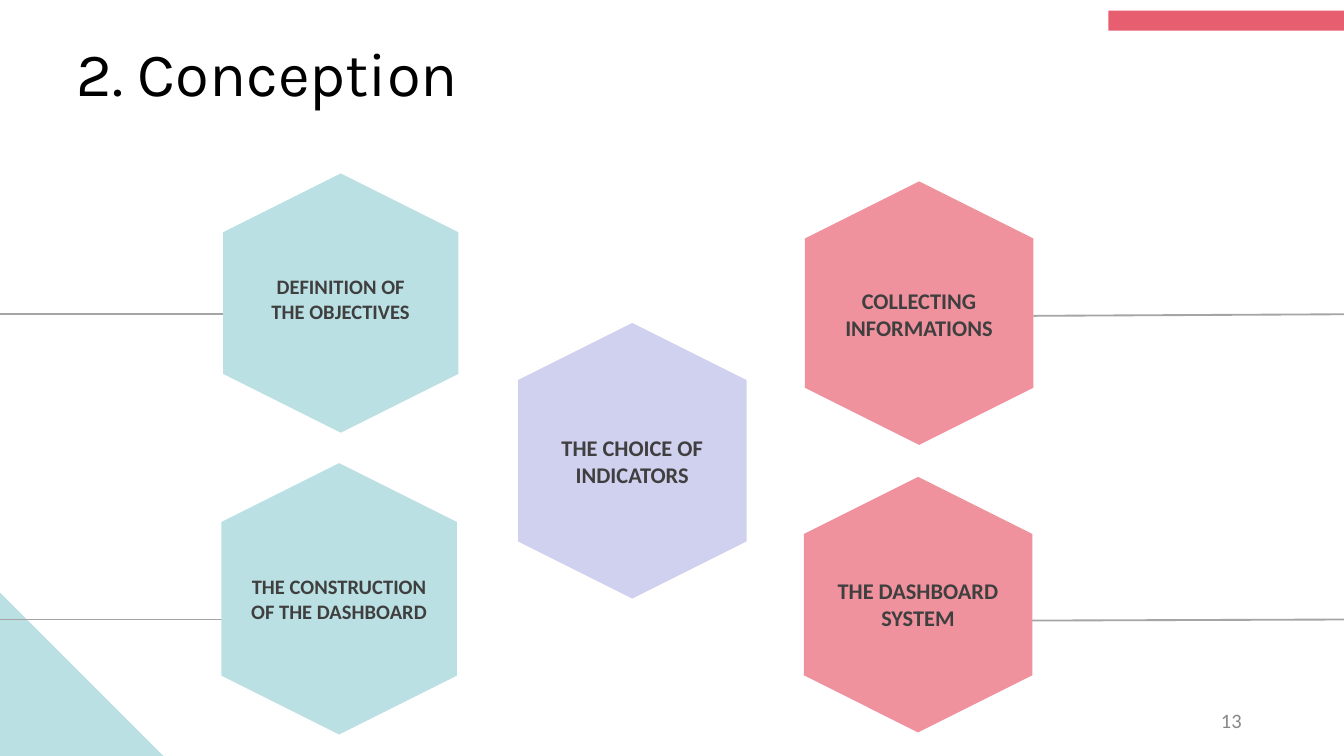
from dataclasses import dataclass

from lxml import etree
from pptx import Presentation
from pptx.dml.color import RGBColor
from pptx.enum.shapes import MSO_CONNECTOR, MSO_SHAPE
from pptx.enum.text import MSO_ANCHOR, PP_ALIGN
from pptx.oxml.ns import qn
from pptx.util import Cm, Pt

HEXAGON, RECTANGLE, TRIANGLE = MSO_SHAPE.HEXAGON, MSO_SHAPE.RECTANGLE, MSO_SHAPE.RIGHT_TRIANGLE
STRAIGHT = MSO_CONNECTOR.STRAIGHT
TOP, MIDDLE = MSO_ANCHOR.TOP, MSO_ANCHOR.MIDDLE
LEFT, CENTER, RIGHT = PP_ALIGN.LEFT, PP_ALIGN.CENTER, PP_ALIGN.RIGHT


@dataclass(frozen=True)
class Theme:
    teal: str = "BBE0E3"
    pink: str = "EF929E"
    lilac: str = "D0D0EF"
    accent: str = "E65E6F"
    rule: str = "A5A5A5"
    title: str = "000000"
    label: str = "3F3F3F"
    number: str = "888888"
    title_size: int = 33
    large: int = 12
    small: int = 11
    heading_font: str = "Karla"
    body_font: str = "Calibri"


theme = Theme()
WIDTH, HEIGHT = 25.4, 14.29

deck = Presentation()
deck.slide_width, deck.slide_height = Cm(WIDTH), Cm(HEIGHT)
slide = deck.slides.add_slide(deck.slide_layouts[6])


def add_text(text, left, top, width, height, *, size, color, font=theme.body_font,
             bold=False, align=LEFT, anchor=MIDDLE, inset_x=0, inset_y=0):
    """Place text, one paragraph per line; lengths are in centimetres."""
    frame = slide.shapes.add_textbox(Cm(left), Cm(top), Cm(width), Cm(height)).text_frame
    frame.word_wrap = True
    frame.vertical_anchor = anchor
    frame.margin_left = frame.margin_right = Cm(inset_x)
    frame.margin_top = frame.margin_bottom = Cm(inset_y)
    frame.text = text
    for paragraph in frame.paragraphs:
        paragraph.alignment = align
        paragraph.font.name = font
        paragraph.font.size = Pt(size)
        paragraph.font.bold = bold
        paragraph.font.color.rgb = RGBColor.from_string(color)


def add_block(kind, left, top, width, height, color):
    """Place a plain filled shape; lengths are in centimetres."""
    block = slide.shapes.add_shape(kind, Cm(left), Cm(top), Cm(width), Cm(height))
    block.shadow.inherit = False
    block.fill.solid()
    block.fill.fore_color.rgb = RGBColor.from_string(color)
    block.line.fill.background()
    return block


# Title, corner decorations and page number
add_text("2. Conception", 1.45, 0.66, 22.53, 1.42, size=theme.title_size,
         color=theme.title, font=theme.heading_font, anchor=TOP)
corner = 3.09
add_block(TRIANGLE, 0, HEIGHT - corner, corner, corner, theme.teal)
add_block(RECTANGLE, 20.95, 0.2, WIDTH - 20.95, 0.38, theme.accent)
add_text("13", 17.93, 13.23, 5.72, 0.76, size=theme.small, color=theme.number,
         align=RIGHT, inset_x=0.18, inset_y=0.1)

# Rules from the slide edges to the outer hexagons
for inner_x, inner_y, edge_x, edge_y in (
    (4.22, 5.94, 0, 5.94),
    (19.53, 5.97, WIDTH, 5.94),
    (4.19, 11.71, 0, 11.71),
    (19.48, 11.73, WIDTH, 11.71),
):
    rule = slide.shapes.add_connector(STRAIGHT, Cm(inner_x), Cm(inner_y), Cm(edge_x), Cm(edge_y))
    rule.line.color.rgb = RGBColor.from_string(theme.rule)
    rule.line.width = Pt(1)
    etree.SubElement(rule._element.spPr, qn("a:effectLst"))

# Hexagons standing on a point: centre, point-to-point length, breadth, label centre and size
steps = (
    ("DEFINITION OF\nTHE OBJECTIVES", 6.44, 5.73, 4.9, 4.45, 5.65, 4.17, 0.84, theme.small, theme.teal),
    ("COLLECTING\nINFORMATIONS", 17.37, 5.92, 4.98, 4.32, 5.93, 3.86, 0.99, theme.large, theme.pink),
    ("THE CONSTRUCTION\nOF THE DASHBOARD", 6.41, 11.32, 5.13, 4.45, 11.32, 4.17, 0.89, theme.small, theme.teal),
    ("THE DASHBOARD\nSYSTEM", 17.35, 11.43, 4.83, 4.32, 11.42, 3.86, 0.94, theme.large, theme.pink),
    ("THE CHOICE OF\nINDICATORS", 11.95, 8.71, 5.21, 4.32, 8.71, 3.86, 1.02, theme.large, theme.lilac),
)
for step, x, y, length, breadth, label_y, label_w, label_h, size, color in steps:
    hexagon = add_block(HEXAGON, x - length / 2, y - breadth / 2, length, breadth, color)
    hexagon.adjustments[0] = 0.25
    hexagon.rotation = 90
    add_text(step, x - label_w / 2, label_y - label_h / 2, label_w, label_h,
             size=size, color=theme.label, bold=True, align=CENTER)

deck.save("out.pptx")
